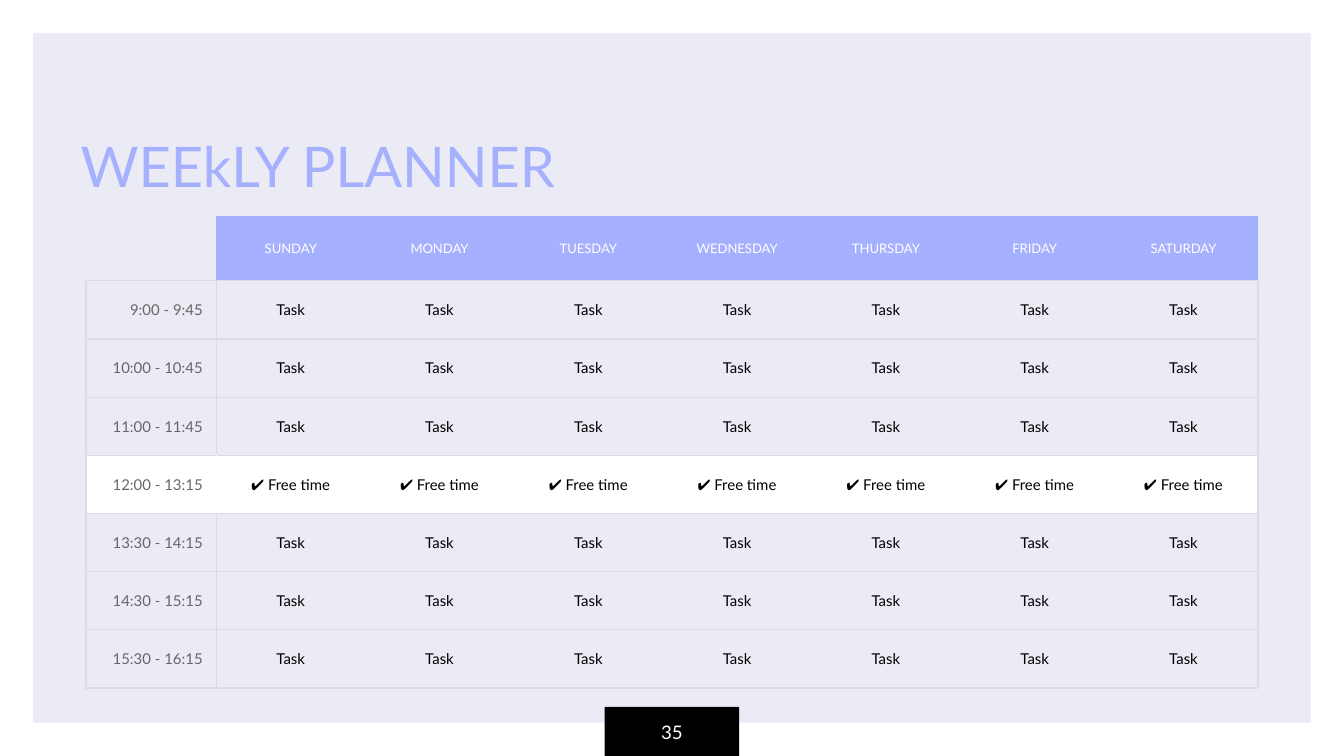
from dataclasses import dataclass

from lxml import etree
from pptx import Presentation
from pptx import util as u
from pptx.dml.color import RGBColor
from pptx.enum import shapes, text
from pptx.oxml.ns import qn


@dataclass(frozen=True)
class Theme:
    font: str = "Lato"
    accent: str = "A5B0FE"
    backdrop: str = "EAEBF4"
    grid: str = "DADBE6"
    hours: str = "666666"
    white: str = "FFFFFF"
    black: str = "000000"
    title_size: float = 30
    page_size: float = 10
    day_size: float = 7
    entry_size: float = 8
    grid_width: float = 0.75


theme = Theme()
MARGIN = u.Inches(0.1)
NO_STYLE = "{2D5ABB26-0587-4C30-8999-92F81FD0307C}"


def write(frame, words, size, color, align):
    paragraph = frame.paragraphs[0]
    paragraph.alignment = align
    run = paragraph.add_run()
    run.text = words
    run.font.name = theme.font
    run.font.size = u.Pt(size)
    run.font.color.rgb = RGBColor.from_string(color)


def add_borders(cell, colors):
    """Draw the sides (L, R, T, B) named in colors and hide the others."""
    properties = cell._tc.get_or_add_tcPr()
    for side in "LRTB":
        line = etree.SubElement(properties, qn(f"a:ln{side}"),
                                w=str(u.Pt(theme.grid_width)))
        if side in colors:
            fill = etree.SubElement(line, qn("a:solidFill"))
            etree.SubElement(fill, qn("a:srgbClr"), val=colors[side])
        else:
            etree.SubElement(line, qn("a:noFill"))


prs = Presentation()
prs.slide_width = u.Inches(10)
prs.slide_height = prs.slide_width * 9 // 16
slide = prs.slides.add_slide(prs.slide_layouts[5])
slide.background.fill.solid()
slide.background.fill.fore_color.rgb = RGBColor.from_string(theme.backdrop)

# White margin and page number tab
margin_frame = slide.shapes.add_shape(
    shapes.MSO_SHAPE.FRAME, 0, 0, prs.slide_width, prs.slide_height)
margin_frame.adjustments[0] = 0.044
page_tab = slide.shapes.add_shape(
    shapes.MSO_SHAPE.RECTANGLE,
    u.Inches(4.5), u.Inches(5.26), u.Inches(1), u.Inches(0.37))
for shape, color in ((margin_frame, theme.white), (page_tab, theme.black)):
    shape.shadow.inherit = False
    shape.fill.solid()
    shape.fill.fore_color.rgb = RGBColor.from_string(color)
    shape.line.fill.background()
page_tab.text_frame.vertical_anchor = text.MSO_ANCHOR.MIDDLE
write(page_tab.text_frame, "35", theme.page_size, theme.white,
      text.PP_ALIGN.CENTER)

# Title
title = slide.shapes.title
title.left, title.top = u.Inches(0.5), u.Inches(0.64)
title.width, title.height = u.Inches(5.62), u.Inches(0.94)
heading = title.text_frame
heading.word_wrap = True
heading.auto_size = text.MSO_AUTO_SIZE.NONE
heading.vertical_anchor = text.MSO_ANCHOR.BOTTOM
heading.margin_left = heading.margin_right = MARGIN
heading.margin_top = heading.margin_bottom = MARGIN
write(heading, "WEEkLY PLANNER", theme.title_size, theme.accent,
      text.PP_ALIGN.LEFT)

# Planner
days = ["SUNDAY", "MONDAY", "TUESDAY", "WEDNESDAY", "THURSDAY", "FRIDAY",
        "SATURDAY"]
schedule = [
    ("9:00 - 9:45", "Task"),
    ("10:00 - 10:45", "Task"),
    ("11:00 - 11:45", "Task"),
    ("12:00 - 13:15", "✔ Free time"),
    ("13:30 - 14:15", "Task"),
    ("14:30 - 15:15", "Task"),
    ("15:30 - 16:15", "Task"),
]
rows = [["", *days]] + [[hours] + [entry] * len(days)
                        for hours, entry in schedule]
hours_width, days_width = u.Inches(0.97), u.Inches(7.75)
header_height, body_height = u.Inches(0.48), u.Inches(3.03)

planner = slide.shapes.add_table(
    len(rows), len(rows[0]), u.Inches(0.64), u.Inches(1.61),
    hours_width + days_width, header_height + body_height).table
planner._tbl.tblPr.find(qn("a:tableStyleId")).text = NO_STYLE
planner.horz_banding = False
for c, column in enumerate(planner.columns):
    column.width = hours_width if c == 0 else days_width // len(days)
for r, row in enumerate(planner.rows):
    row.height = header_height if r == 0 else body_height // len(schedule)

for r, row in enumerate(rows):
    is_header = r == 0
    is_break = "Free time" in row[-1]
    for c, words in enumerate(row):
        is_hours = c == 0
        cell = planner.cell(r, c)
        cell.vertical_anchor = text.MSO_ANCHOR.MIDDLE
        cell.margin_left = cell.margin_right = MARGIN
        cell.margin_top = cell.margin_bottom = MARGIN

        borders = {"B": theme.grid}
        if not is_header:
            divider = theme.white if is_break else theme.grid
            borders["T"] = theme.grid
            if is_hours:
                borders.update(L=theme.grid, R=divider)
            elif c == 1:
                borders["L"] = divider
            elif c == len(days):
                borders["R"] = theme.grid
        add_borders(cell, borders)

        if is_break or (is_header and not is_hours):
            cell.fill.solid()
            cell.fill.fore_color.rgb = RGBColor.from_string(
                theme.white if is_break else theme.accent)
        else:
            cell.fill.background()

        if is_header and is_hours:
            cell.text_frame.paragraphs[0].font.size = u.Pt(theme.day_size)
        elif is_header:
            write(cell.text_frame, words, theme.day_size, theme.white,
                  text.PP_ALIGN.CENTER)
        elif is_hours:
            write(cell.text_frame, words, theme.entry_size, theme.hours,
                  text.PP_ALIGN.RIGHT)
        else:
            write(cell.text_frame, words, theme.entry_size, theme.black,
                  text.PP_ALIGN.CENTER)

prs.save("out.pptx")
